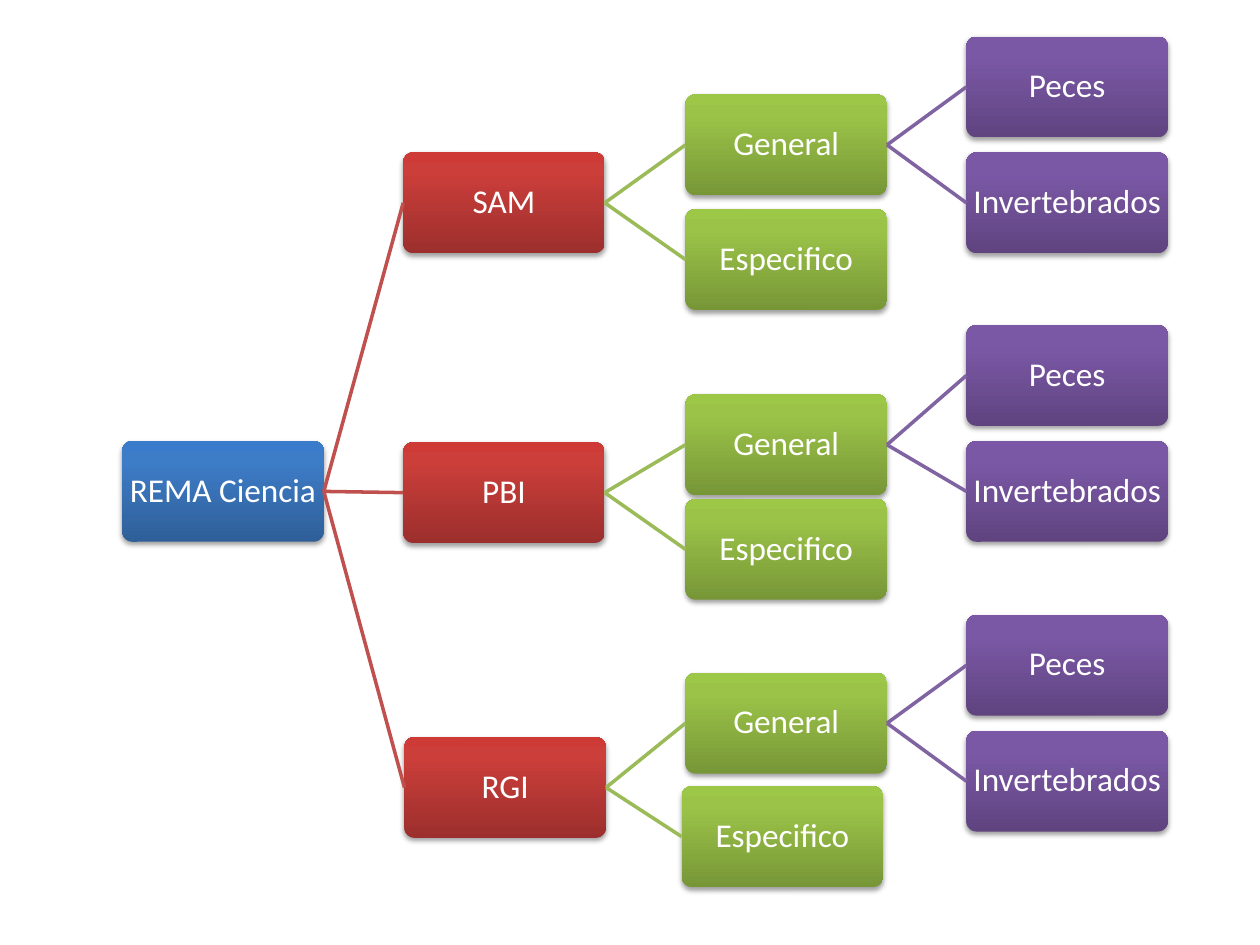
from copy import deepcopy

from lxml import etree
from pptx import Presentation
from pptx.dml.color import RGBColor
from pptx.enum.shapes import MSO_CONNECTOR, MSO_SHAPE
from pptx.enum.text import MSO_ANCHOR, PP_ALIGN
from pptx.oxml.ns import qn
from pptx.util import Inches, Pt

ROUNDED = MSO_SHAPE.ROUNDED_RECTANGLE
STRAIGHT = MSO_CONNECTOR.STRAIGHT
MIDDLE = MSO_ANCHOR.MIDDLE
CENTER = PP_ALIGN.CENTER

WHITE = RGBColor(0xFF, 0xFF, 0xFF)
BLUES = [RGBColor(0x2F, 0x5F, 0x99), RGBColor(0x3D, 0x7C, 0xC7), RGBColor(0x3A, 0x7C, 0xCB)]
REDS = [RGBColor(0x9C, 0x2F, 0x2D), RGBColor(0xCB, 0x3E, 0x3A), RGBColor(0xCE, 0x3B, 0x37)]
GREENS = [RGBColor(0x77, 0x97, 0x37), RGBColor(0x9B, 0xC3, 0x48), RGBColor(0x9D, 0xC7, 0x46)]
PURPLES = [RGBColor(0x5F, 0x44, 0x80), RGBColor(0x7B, 0x58, 0xA6), RGBColor(0x7C, 0x57, 0xA8)]
RED_LINE = RGBColor(0xC0, 0x50, 0x4D)
GREEN_LINE = RGBColor(0x9B, 0xBB, 0x59)
PURPLE_LINE = RGBColor(0x80, 0x64, 0xA2)

# Each level of the tree: left edge, gradient from bottom to top, incoming line
LEVELS = [
    (0.97, BLUES, None),
    (3.2, REDS, RED_LINE),
    (5.44, GREENS, GREEN_LINE),
    (7.67, PURPLES, PURPLE_LINE),
]
BOX_WIDTH, BOX_HEIGHT = 1.6, 0.8
STOP_POSITIONS = (0, 0.8, 1)
LEFT_SITE, RIGHT_SITE = 1, 3

# Each branch: name, top, left shift, top of General, top of Especifico
# and its left shift, tops of Peces and Invertebrados
BRANCHES = [
    ("SAM", 1.21, 0, 0.75, 1.66, 0, 0.29, 1.21),
    ("PBI", 3.51, 0, 3.13, 3.96, 0, 2.58, 3.5),
    ("RGI", 5.85, 0.01, 5.34, 6.24, -0.03, 4.88, 5.8),
]

presentation = Presentation()
presentation.slide_width = Inches(10)
presentation.slide_height = Inches(7.5)
slide = presentation.slides.add_slide(presentation.slide_layouts[6])


def add_box(text, level, top, shift=0):
    """Add a shaded box with its label at one level of the tree."""
    left, colors, _ = LEVELS[level]
    box = slide.shapes.add_shape(ROUNDED, Inches(left + shift), Inches(top),
                                 Inches(BOX_WIDTH), Inches(BOX_HEIGHT))
    box.adjustments[0] = 0.1
    box.line.fill.background()

    box.fill.gradient()
    box.fill.gradient_angle = 90
    properties = box._element.spPr
    stop_list = properties.find(qn("a:gradFill")).find(qn("a:gsLst"))
    stop_list.append(deepcopy(stop_list[-1]))
    for stop, position, color in zip(box.fill.gradient_stops, STOP_POSITIONS, colors):
        stop.position = position
        stop.color.rgb = color

    box.shadow.inherit = False
    shadow = etree.SubElement(properties.find(qn("a:effectLst")), qn("a:outerShdw"),
                              blurRad=str(Pt(3.1)), dist=str(Pt(1.6)),
                              dir="5400000", rotWithShape="0")
    shadow_color = etree.SubElement(shadow, qn("a:srgbClr"), val="000000")
    etree.SubElement(shadow_color, qn("a:alpha"), val="38000")

    frame = box.text_frame
    frame.word_wrap = True
    frame.vertical_anchor = MIDDLE
    frame.margin_left = frame.margin_right = Inches(0.01)
    frame.margin_top = frame.margin_bottom = Inches(0.01)
    paragraph = frame.paragraphs[0]
    paragraph.alignment = CENTER
    paragraph.line_spacing = 0.9
    run = paragraph.add_run()
    run.text = text
    run.font.name = "Calibri"
    run.font.size = Pt(19)
    run.font.color.rgb = WHITE
    return box


def add_child(parent, text, level, top, shift=0):
    """Add a box and join it to its parent with a line."""
    child = add_box(text, level, top, shift)
    link = slide.shapes.add_connector(STRAIGHT, 0, 0, 0, 0)
    link.begin_connect(parent, RIGHT_SITE)
    link.end_connect(child, LEFT_SITE)
    link.line.color.rgb = LEVELS[level][2]
    link.line.width = Pt(2)
    etree.SubElement(link._element.spPr, qn("a:effectLst"))
    return child


root = add_box("REMA Ciencia", 0, 3.5)
for (name, top, shift, general_top, specific_top, specific_shift,
     fish_top, invertebrate_top) in BRANCHES:
    branch = add_child(root, name, 1, top, shift)
    general = add_child(branch, "General", 2, general_top)
    add_child(general, "Peces", 3, fish_top)
    add_child(general, "Invertebrados", 3, invertebrate_top)
    add_child(branch, "Especifico", 2, specific_top, specific_shift)

presentation.save("out.pptx")
